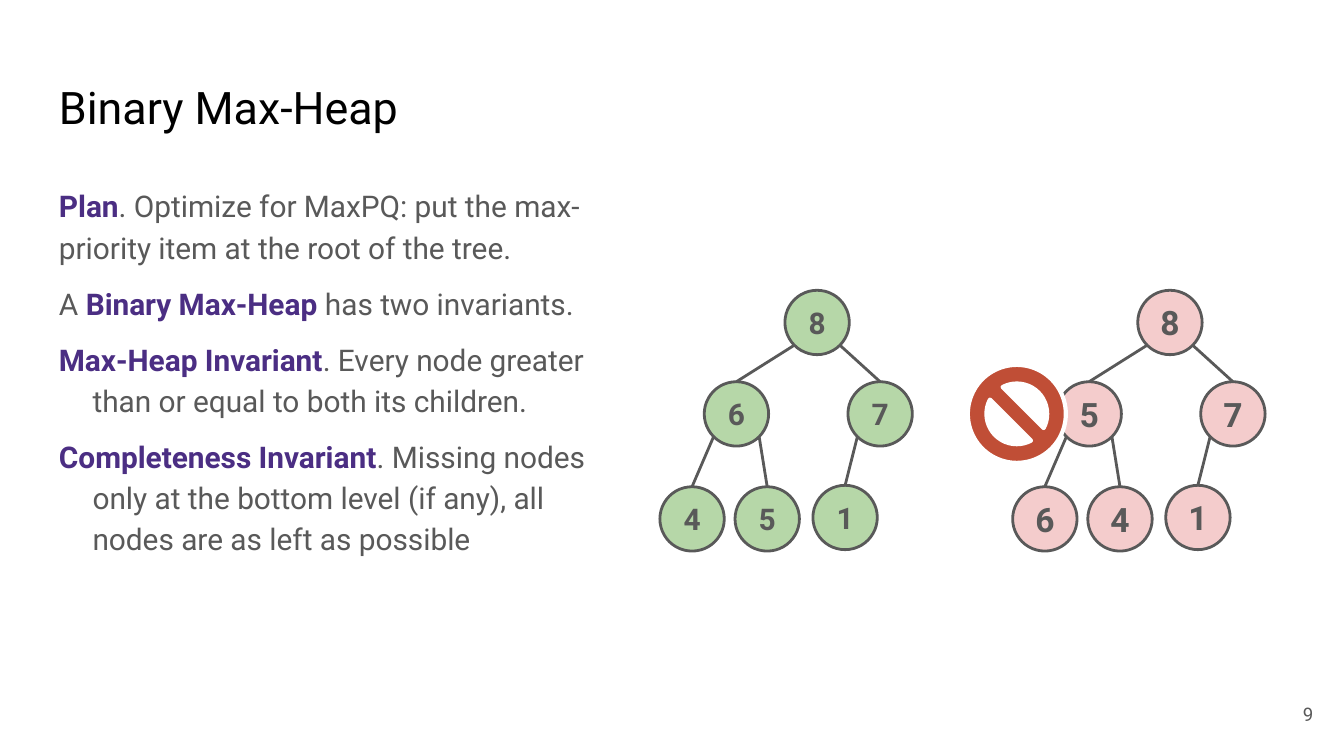
import math

from lxml import etree
from pptx import Presentation
from pptx import util as u
from pptx.dml.color import RGBColor
from pptx.enum import shapes, text
from pptx.oxml.ns import qn

GRAY, PURPLE, WHITE = "595959", "4B2E83", "FFFFFF"
NODE = 34.5
ROOT, LEFT, RIGHT, LEFT_LEFT, LEFT_RIGHT, RIGHT_LEFT = range(6)
NODES = {
    ROOT: (67, 155.5),
    LEFT: (23.75, 204.5),
    RIGHT: (100.75, 204.5),
    LEFT_LEFT: (0, 260.75),
    LEFT_RIGHT: (40.25, 260.75),
    RIGHT_LEFT: (82, 260),
}
EDGES = [(ROOT, LEFT), (ROOT, RIGHT), (LEFT, LEFT_LEFT),
         (LEFT, LEFT_RIGHT), (RIGHT, RIGHT_LEFT)]
HANGING = dict(indent=18, space_before=u.Pt(8))
BODY = [
    ([("Plan", True),
      (". Optimize for MaxPQ: put the max-priority item at the root of the tree.", False)], {}),
    ([("A ", False), ("Binary Max-Heap", True), (" has two invariants.", False)],
     dict(space_before=u.Pt(8))),
    ([("Max-Heap Invariant", True),
      (". Every node greater than or equal to both its children.", False)], HANGING),
    ([("Completeness Invariant", True),
      (". Missing nodes only at the bottom level (if any), all nodes are as left as possible", False)],
     dict(HANGING, space_after=u.Pt(8))),
]


def rgb(value):
    return RGBColor.from_string(value)


def apply(target, values):
    for name, value in values.items():
        setattr(target, name, value)


class Deck:
    font = "Roboto"

    def __init__(self, width, height):
        self.prs = Presentation()
        apply(self.prs, dict(slide_width=u.Pt(width), slide_height=u.Pt(height)))
        self.s = self.prs.slides.add_slide(self.prs.slide_layouts[6])

    def frame(self, sp, anchor):
        tf = sp.text_frame
        apply(tf, dict(word_wrap=True, vertical_anchor=anchor,
                       **{f"margin_{side}": u.Pt(7.2) for side in ("left", "top", "right", "bottom")}))
        return tf

    def run(self, p, words, size, color=GRAY, bold=False):
        r = p.add_run()
        r.text = words
        apply(r.font, dict(name=self.font, size=u.Pt(size), bold=bold))
        r.font.color.rgb = rgb(color)

    def box(self, x, y, w, h, anchor=text.MSO_ANCHOR.TOP):
        sp = self.s.shapes.add_textbox(u.Pt(x), u.Pt(y), u.Pt(w), u.Pt(h))
        return self.frame(sp, anchor)

    def label(self, x, y, w, h, words, size, color=GRAY,
              align=text.PP_ALIGN.LEFT, anchor=text.MSO_ANCHOR.TOP):
        p = self.box(x, y, w, h, anchor).paragraphs[0]
        p.alignment = align
        self.run(p, words, size, color)

    def body(self, x, y, w, h, paragraphs, size):
        tf = self.box(x, y, w, h)
        for i, (runs, style) in enumerate(paragraphs):
            p = tf.add_paragraph() if i else tf.paragraphs[0]
            style = dict(style, line_spacing=1.15)
            indent = u.Pt(style.pop("indent", 0))
            pPr = p._p.get_or_add_pPr()
            pPr.set("marL", str(indent))
            pPr.set("indent", str(-indent))
            apply(p, style)
            for words, key in runs:
                self.run(p, words, size, PURPLE if key else GRAY, key)

    def shape(self, parent, kind, x, y, size, fill, line, weight):
        sp = parent.shapes.add_shape(kind, u.Pt(x), u.Pt(y), u.Pt(size), u.Pt(size))
        sp.shadow.inherit = False
        sp.fill.solid()
        sp.fill.fore_color.rgb = rgb(fill)
        sp.line.color.rgb = rgb(line)
        sp.line.width = u.Pt(weight)
        return sp

    def node(self, group, x, y, value, fill, size):
        sp = self.shape(group, shapes.MSO_SHAPE.OVAL, x, y, NODE, fill, GRAY, 1.5)
        p = self.frame(sp, text.MSO_ANCHOR.MIDDLE).paragraphs[0]
        p.alignment = text.PP_ALIGN.CENTER
        self.run(p, value, size, GRAY, True)
        return sp

    def edge(self, group, parent, child):
        reach = int(parent.width / 2 * math.sqrt(0.5))
        center = parent.left + parent.width // 2
        end = child.left + child.width // 2
        x = center + (reach if end > center else -reach)
        y = parent.top + parent.height // 2 + reach
        sp = group.shapes.add_connector(shapes.MSO_CONNECTOR.STRAIGHT, x, y, end, child.top)
        sp.end_connect(child, 0)
        sp.line.color.rgb = rgb(GRAY)
        sp.line.width = u.Pt(1.5)
        etree.SubElement(sp._element.spPr, qn("a:effectLst"))

    def tree(self, x, values, fill, size):
        group = self.s.shapes.add_group_shape()
        nodes = {key: self.node(group, x + dx, y, value, fill, size)
                 for (key, (dx, y)), value in zip(NODES.items(), values)}
        for parent, child in EDGES:
            self.edge(group, nodes[parent], nodes[child])

    def prohibited(self, x, y, size):
        sp = self.shape(self.s, shapes.MSO_SHAPE.NO_SYMBOL, x, y, size, "C04E36", WHITE, 2.25)
        sp.adjustments[0] = 0.19


def main():
    deck = Deck(720, 405)
    deck.label(24.5, 35.25, 311, 45.5, "Binary Max-Heap", 24, "000000")
    deck.body(24.5, 90.75, 311, 269, BODY, 16)
    deck.label(667.5, 367.25, 43.2, 31, "9", 10,
               align=text.PP_ALIGN.RIGHT, anchor=text.MSO_ANCHOR.MIDDLE)
    deck.tree(353.5, "867451", "B6D7A8", 16)
    deck.tree(542.5, "857641", "F4CCCC", 18)
    deck.prohibited(518.5, 195.5, 52.5)
    deck.prs.save("out.pptx")


if __name__ == "__main__":
    main()
